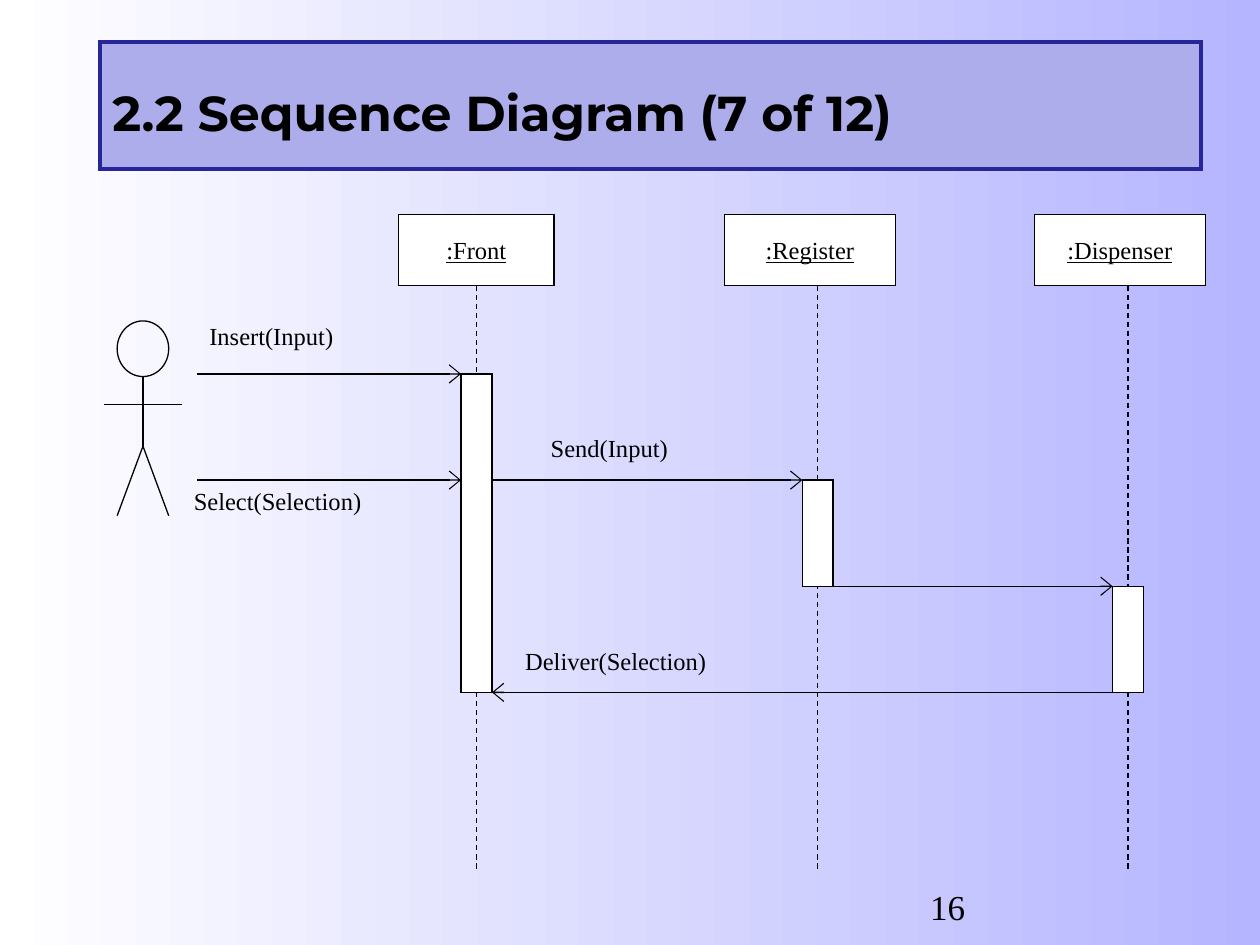
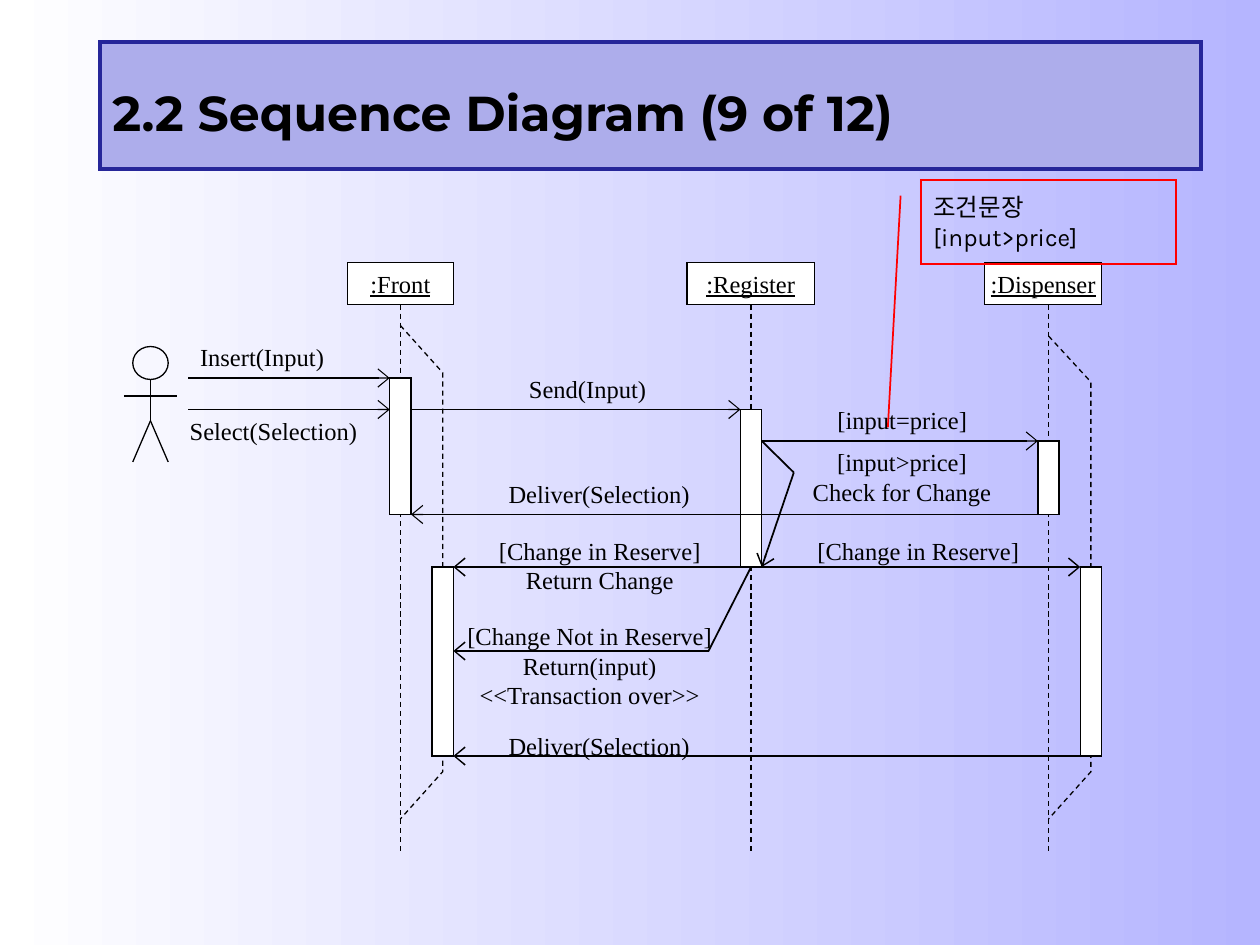
from dataclasses import dataclass, field
from typing import NamedTuple

import pptx
import pptx.dml.color
import pptx.enum.dml
import pptx.enum.shapes
import pptx.enum.text
import pptx.oxml.ns
import pptx.util
from lxml import etree

Pt = pptx.util.Pt
qn = pptx.oxml.ns.qn
SHAPES = pptx.enum.shapes.MSO_SHAPE
ALIGN = pptx.enum.text.PP_ALIGN

COLORS = {
    "ink": "000000",
    "paper": "FFFFFF",
    "sky": "B5B5FF",
    "band": "ADADEB",
    "band_edge": "262699",
    "note": "FF0000",
}
SERIF, TITLE_FONT, NOTE_FONT = "Times New Roman", "Montserrat", "Karla"
THIN, MEDIUM, THICK = 0.75, 1, 2.25


class Area(NamedTuple):
    left: float
    top: float
    width: float
    height: float


class Actor(NamedTuple):
    center: float
    top: float
    arm_span: float
    unit: float  # one seventh of the figure's height


class Participant(NamedTuple):
    name: str
    left: float
    width: float
    lifeline: float


class Bar(NamedTuple):
    center: float
    top: float
    bottom: float


class Message(NamedTuple):
    y: float
    start: float | None  # None stands for the actor's hand
    end: float
    weight: float = THIN


class Label(NamedTuple):
    left: float
    top: float
    width: float
    lines: tuple[str, ...]
    align: pptx.enum.text.PP_ALIGN = ALIGN.LEFT


class Route(NamedTuple):
    points: list[tuple[float, float]]
    weight: float = THIN
    dashed: bool = False
    arrow: bool = False


@dataclass
class Diagram:
    title: str
    actor: Actor
    hand: float
    heads_top: float
    heads_height: float
    lifeline_end: float
    bar_width: float
    participants: list[Participant]
    bars: list[Bar]
    messages: list[Message]
    labels: list[Label]
    routes: list[Route] = field(default_factory=list)


def rgb(name: str) -> pptx.dml.color.RGBColor:
    return pptx.dml.color.RGBColor.from_string(COLORS[name])


def style_line(shape, weight: float, color: str = "ink",
               dashed: bool = False, arrow: bool = False) -> None:
    shape.line.color.rgb = rgb(color)
    shape.line.width = Pt(weight)
    if dashed:
        shape.line.dash_style = pptx.enum.dml.MSO_LINE.DASH
    outline = shape.element.spPr.find(qn("a:ln"))
    etree.SubElement(outline, qn("a:miter"), lim="800000")
    if arrow:
        etree.SubElement(outline, qn("a:tailEnd"), type="arrow", w="lg", len="med")


def add_line(page, start: tuple[float, float], end: tuple[float, float],
             weight: float = THIN, dashed: bool = False, arrow: bool = False) -> None:
    line = page.shapes.add_connector(
        pptx.enum.shapes.MSO_CONNECTOR.STRAIGHT, *map(Pt, (*start, *end)))
    style_line(line, weight, dashed=dashed, arrow=arrow)
    etree.SubElement(line.element.spPr, qn("a:effectLst"))


def add_route(page, route: Route) -> None:
    corners = [(Pt(x), Pt(y)) for x, y in route.points]
    builder = page.shapes.build_freeform(*corners[0])
    builder.add_line_segments(corners[1:], close=False)
    shape = builder.convert_to_shape()
    shape.shadow.inherit = False
    shape.fill.background()
    style_line(shape, route.weight, dashed=route.dashed, arrow=route.arrow)


def add_box(page, kind, area: Area, fill: str | None = None,
            edge: str = "ink", weight: float = THIN):
    box = page.shapes.add_shape(kind, *map(Pt, area))
    box.shadow.inherit = False
    if fill:
        box.fill.solid()
        box.fill.fore_color.rgb = rgb(fill)
    else:
        box.fill.background()
    style_line(box, weight, edge)
    return box


def write(box, lines: tuple[str, ...], size: float = 14, font: str = SERIF,
          align=ALIGN.LEFT, wrap: bool = True, bold: bool = False,
          underline: bool = False, spacing: float | None = None) -> None:
    frame = box.text_frame
    frame.word_wrap = wrap
    frame.text = "\n".join(lines)
    for para in frame.paragraphs:
        para.alignment = align
        para.line_spacing = spacing
        para.font.size = Pt(size)
        para.font.name = font
        para.font.bold = bold
        para.font.underline = underline
        para.font.color.rgb = rgb("ink")


def add_label(page, label: Label) -> None:
    """Add text on a box that grows with it, so that no line breaks."""
    height = 7.2 + 17 * len(label.lines)
    box = page.shapes.add_textbox(*map(Pt, (label.left, label.top, label.width, height)))
    write(box, label.lines, align=label.align, wrap=False)
    box.text_frame.auto_size = pptx.enum.text.MSO_AUTO_SIZE.SHAPE_TO_FIT_TEXT


def add_page(deck, title: str):
    """Add a slide with the shared gradient and title band."""
    page = deck.slides.add_slide(deck.slide_layouts[6])
    fill = page.background.fill
    fill.gradient()
    fill.gradient_angle = 0
    for stop, position, color in zip(fill.gradient_stops, (0, 1), ("paper", "sky")):
        stop.position = position
        stop.color.rgb = rgb(color)
    band = add_box(page, SHAPES.RECTANGLE, Area(57.2, 24.2, 629.3, 72.3),
                   "band", "band_edge", THICK)
    write(band, (title,), size=28, font=TITLE_FONT, bold=True, spacing=1.2)
    return page


def draw_actor(page, actor: Actor) -> None:
    center, top, span, unit = actor
    head = span * 2 / 3
    neck, arms, hips, feet = (top + unit * n for n in (2, 3, 4.5, 7))
    add_box(page, SHAPES.OVAL, Area(center - head / 2, top, head, 2 * unit))
    add_line(page, (center, neck), (center, hips))
    add_line(page, (center - span / 2, arms), (center + span / 2, arms))
    for side in (-1, 1):
        add_line(page, (center, hips), (center + side * head / 2, feet))


def draw_message(page, message: Message, hand: float, half_bar: float) -> None:
    """Draw an arrow between the facing edges of two bars."""
    y, start, end, weight = message
    from_hand = start is None
    step = half_bar if from_hand or start < end else -half_bar
    start_x = hand if from_hand else start + step
    add_line(page, (start_x, y), (end - step, y), weight, arrow=True)


def draw_diagram(deck, diagram: Diagram):
    page = add_page(deck, diagram.title)
    draw_actor(page, diagram.actor)
    heads_bottom = diagram.heads_top + diagram.heads_height
    for name, left, width, lifeline in diagram.participants:
        head = add_box(page, SHAPES.RECTANGLE,
                       Area(left, diagram.heads_top, width, diagram.heads_height), "paper")
        write(head, (name,), align=ALIGN.CENTER, wrap=False, underline=True)
        add_line(page, (lifeline, heads_bottom), (lifeline, diagram.lifeline_end), dashed=True)
    for route in diagram.routes:
        add_route(page, route)
    width = diagram.bar_width
    for center, top, bottom in diagram.bars:
        add_box(page, SHAPES.RECTANGLE,
                Area(center - width / 2, top, width, bottom - top), "paper")
    for message in diagram.messages:
        draw_message(page, message, diagram.hand, width / 2)
    for label in diagram.labels:
        add_label(page, label)
    return page


def build_simple_sale(deck) -> None:
    front, register, dispenser = 272.3, 467.3, 644.6
    insert, select, release, deliver = (213.7 + 60.65 * n for n in range(4))
    page = draw_diagram(deck, Diagram(
        title="2.2 Sequence Diagram (7 of 12)",
        actor=Actor(81.7, 183.4, 44.2, 15.9), hand=112.5,
        heads_top=122.5, heads_height=40.7, lifeline_end=496.5, bar_width=17.7,
        participants=[Participant(":Front", 227.8, 88.8, front),
                      Participant(":Register", 414, 97.6, register),
                      Participant(":Dispenser", 591.1, 97.6, dispenser)],
        bars=[Bar(front, insert, deliver), Bar(register, select, release),
              Bar(dispenser, release, deliver)],
        messages=[Message(insert, None, front), Message(select, None, front),
                  Message(select, front, register),
                  Message(release, register, dispenser),
                  Message(deliver, dispenser, front)],
        labels=[Label(112.5, 180, 85.4, ("Insert(Input)",)),
                Label(103.7, 274.3, 110.2, ("Select(Selection)",)),
                Label(307.6, 244, 81.4, ("Send(Input)",)),
                Label(293, 365.5, 118, ("Deliver(Selection)",))],
    ))
    number = page.shapes.add_textbox(*map(Pt, (524.4, 502.6, 95.8, 25.9)))
    write(number, ("16",), size=20)


def build_conditional_sale(deck) -> None:
    front, register, dispenser = 228.8, 429.2, 599.2
    front_branch, dispenser_branch = (x + 24.2 for x in (front, dispenser))
    insert, select, check, deliver = 216, 234, 252, 294
    change, no_change, finish = 324, 372, 432
    bar_width = 12.2
    branches = [
        Route([(lifeline, fork), (branch, split), (branch, 441), (lifeline, 468)], dashed=True)
        for lifeline, branch, fork, split in ((front, front_branch, 186, 213),
                                              (dispenser, dispenser_branch, 192, 218.3))]
    refund = Route([(register, change), (404.9, no_change),
                    (front_branch + bar_width / 2, no_change)], MEDIUM, arrow=True)
    page = draw_diagram(deck, Diagram(
        title="2.2 Sequence Diagram (9 of 12)",
        actor=Actor(86, 198, 30.4, 9.43), hand=107.5,
        heads_top=150, heads_height=24, lifeline_end=486, bar_width=bar_width,
        participants=[Participant(":Front", 198.5, 60.6, front),
                      Participant(":Register", 392.5, 73, register),
                      Participant(":Dispenser", 562.7, 66.8, dispenser)],
        routes=[*branches, refund],
        bars=[Bar(front, insert, deliver), Bar(register, select, change),
              Bar(dispenser, check, deliver), Bar(front_branch, change, finish),
              Bar(dispenser_branch, change, finish)],
        messages=[Message(insert, None, front), Message(select, None, front),
                  Message(select, front, register), Message(check, register, dispenser),
                  Message(deliver, dispenser, front),
                  Message(change, register, front_branch, MEDIUM),
                  Message(change, register, dispenser_branch, MEDIUM),
                  Message(finish, dispenser_branch, front_branch, MEDIUM)],
        labels=[Label(107.2, 192.2, 85.4, ("Insert(Input)",)),
                Label(101.3, 234, 110.2, ("Select(Selection)",)),
                Label(295.2, 210.2, 81.4, ("Send(Input)",)),
                Label(283.5, 270, 118, ("Deliver(Selection)",)),
                Label(471.5, 228.2, 88.6, ("[input=price]",)),
                Label(457.2, 252, 116.6, ("[input>price]", "Check for Change"), ALIGN.CENTER),
                Label(278, 302.6, 129.6, ("[Change in Reserve]", "Return Change"), ALIGN.CENTER),
                Label(460, 302.6, 129.6, ("[Change in Reserve]",), ALIGN.CENTER),
                Label(259.8, 351.4, 154.4, ("[Change Not in Reserve]", "Return(input)",
                                            "<<Transaction over>>"), ALIGN.CENTER),
                Label(283.5, 414, 118, ("Deliver(Selection)",))],
    ))
    register_edge, elbow = register + bar_width / 2, (453.6, 270)
    add_line(page, (register_edge, check), elbow, MEDIUM)
    add_line(page, elbow, (register_edge, change), MEDIUM, arrow=True)

    note = add_box(page, SHAPES.LINE_CALLOUT_2, Area(526.3, 102.7, 145.7, 48),
                   edge="note", weight=MEDIUM)
    for index, value in enumerate((0.19, -0.08, 0.19, -0.08, 2.95, -0.13)):
        note.adjustments[index] = value
    write(note, ("조건문장", "[input>price]"), font=NOTE_FONT)


def main() -> None:
    deck = pptx.Presentation()
    deck.slide_width, deck.slide_height = Pt(720), Pt(540)
    build_simple_sale(deck)
    build_conditional_sale(deck)
    deck.save("out.pptx")


if __name__ == "__main__":
    main()
